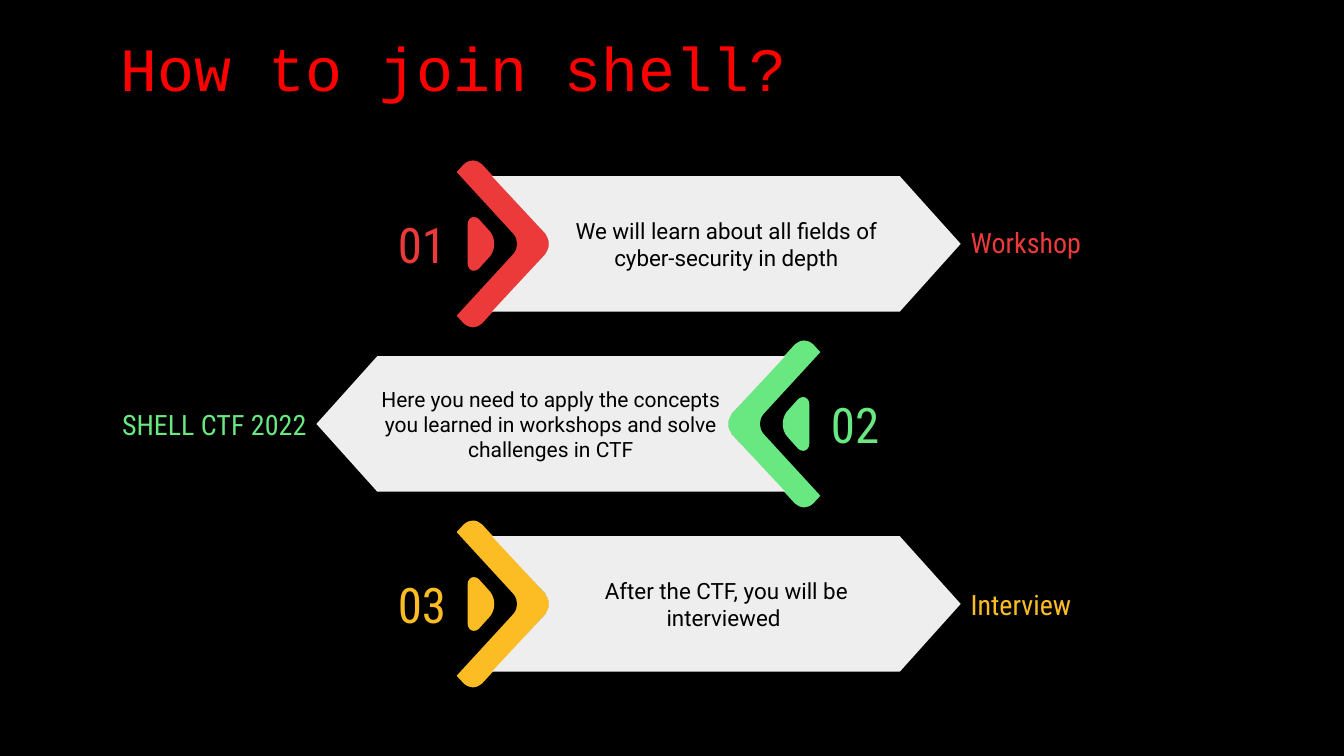
from dataclasses import dataclass
from typing import Any

import pptx
import pptx.dml.color
import pptx.enum.text
import pptx.oxml
import pptx.oxml.ns
import pptx.util

Pt = pptx.util.Pt
RGBColor = pptx.dml.color.RGBColor
Align = pptx.enum.text.PP_ALIGN
Anchor = pptx.enum.text.MSO_ANCHOR
qn = pptx.oxml.ns.qn

BLACK = RGBColor(0x00, 0x00, 0x00)
TITLE_RED = RGBColor(0xFF, 0x00, 0x00)
RED = RGBColor(0xEC, 0x3A, 0x3B)
GREEN = RGBColor(0x69, 0xE7, 0x81)
YELLOW = RGBColor(0xFC, 0xBD, 0x24)
PALE_GREY = RGBColor(0xEE, 0xEE, 0xEE)

Point = tuple[float, float]
# A segment of one point is a line; one of three points is a cubic curve.
Outline = list[tuple[Point, ...]]

FIRST_CENTRE = 174.2
STEP_PITCH = 128.6
MIRROR_WIDTH = 912.2  # a left-pointing step has x replaced by this less x
INSET = 7.2
BANNER_INSET = 43.2

# Outlines of a right-pointing step, with y measured from its centre line.
CHEVRON: Outline = [
    ((337.7, -59.6),),
    ((335.5, -59.6), (333.3, -58.6), (331.3, -56.8)),
    ((326.2, -51.3),),
    ((366.6, -7.3),),
    ((370.3, -3.1), (370.3, 3.1), (366.6, 7.3)),
    ((326.2, 51.3),),
    ((331.3, 56.8),),
    ((333.3, 58.6), (335.5, 59.6), (337.7, 59.6)),
    ((340, 59.6), (342.6, 58.6), (344.4, 56.8)),
    ((389.6, 7.3),),
    ((393.2, 3.1), (393.2, -3.1), (389.6, -7.3)),
    ((344.4, -56.8),),
    ((342.6, -58.6), (340, -59.6), (337.7, -59.6)),
]
POINTER: Outline = [
    ((338.3, -19.2),),
    ((336.2, -19.2), (334.1, -17), (334.1, -14.2)),
    ((334.1, 14.2),),
    ((334.1, 17), (336.2, 19.2), (338.3, 19.2)),
    ((339.8, 19.2), (340.9, 18.7), (342, 17.8)),
    ((350, 8.9),),
    ((354.1, 4), (354.1, -4), (350, -8.9)),
    ((342, -17.8),),
    ((340.9, -18.7), (339.8, -19.2), (338.3, -19.2)),
]
BANNER: Outline = [
    ((351.4, -48.4),),
    ((389.6, -7.3),),
    ((391.1, -5.3), (392, -2.7), (392, 0)),
    ((392, 2.7), (391.1, 5.3), (389.6, 7.3)),
    ((351.4, 48.4),),
    ((642.7, 48.4),),
    ((686.2, 0),),
    ((642.7, -48.4),),
]


@dataclass(frozen=True)
class Step:
    number: str
    name: str
    description: str
    color: RGBColor
    description_size: float = 16
    points_left: bool = False
    name_shift: float = 0


@dataclass(frozen=True)
class Caption:
    """Place of a text box beside a right-pointing step."""
    left: float
    width: float
    height: float
    size: float
    on_tail: bool


NUMBER = Caption(232.9, 92.9, 61.9, 35, True)
NAME = Caption(686.2, 159.1, 55.4, 20, False)

STEPS = [
    Step("01", "Workshop", "We will learn about all fields of cyber-security in depth", RED,
         name_shift=-1.2),
    Step("02", "SHELL CTF 2022",
         "Here you need to apply the concepts you learned in workshops and solve challenges in CTF",
         GREEN, 15, True),
    Step("03", "Interview", "After the CTF, you will be interviewed ", YELLOW),
]


def apply_format(target: Any, values: dict[str, Any]) -> None:
    for attribute, value in values.items():
        setattr(target, attribute, value)


def write(frame: Any, text: str, font: str, size: float, color: RGBColor,
          alignment: Any, anchor: Any = Anchor.MIDDLE, side_inset: float = INSET) -> None:
    frame.text = text
    apply_format(frame, {
        "word_wrap": True, "vertical_anchor": anchor,
        "margin_left": Pt(side_inset), "margin_right": Pt(side_inset),
        "margin_top": Pt(INSET), "margin_bottom": Pt(INSET),
    })
    paragraph = frame.paragraphs[0]
    paragraph.alignment = alignment
    run_font = paragraph.runs[0].font
    apply_format(run_font, {"name": font, "size": Pt(size)})
    run_font.color.rgb = color


def bend_curves(shape: Any, outline: Outline) -> None:
    """Join the three lines that stand for each curve into one cubic segment."""
    lines = iter(list(shape.element.iter(qn("a:lnTo"))))
    for segment in outline[1:]:
        parts = [next(lines) for _ in segment]
        if len(parts) == 1:
            continue
        curve = pptx.oxml.parse_xml(f'<a:cubicBezTo {pptx.oxml.ns.nsdecls("a")}/>')
        parts[0].addprevious(curve)
        for part in parts:
            curve.append(part[0])
            part.getparent().remove(part)


def draw_outline(slide: Any, outline: Outline, step: Step, centre: float, color: RGBColor) -> Any:
    points = [(Pt(MIRROR_WIDTH - x if step.points_left else x), Pt(centre + y))
              for segment in outline for x, y in segment]
    builder = slide.shapes.build_freeform(*points[0])
    builder.add_line_segments(points[1:], close=True)
    shape = builder.convert_to_shape()
    bend_curves(shape, outline)
    shape.shadow.inherit = False
    shape.fill.solid()
    shape.fill.fore_color.rgb = color
    shape.line.fill.background()
    return shape


def draw_caption(slide: Any, caption: Caption, text: str, step: Step, centre: float) -> None:
    left = caption.left
    if step.points_left:
        left = MIRROR_WIDTH - left - caption.width
    box = slide.shapes.add_textbox(Pt(left), Pt(centre - caption.height / 2),
                                   Pt(caption.width), Pt(caption.height))
    alignment = Align.RIGHT if caption.on_tail != step.points_left else Align.LEFT
    write(box.text_frame, text, "Roboto Condensed", caption.size, step.color, alignment)


def draw_step(slide: Any, step: Step, centre: float) -> None:
    draw_caption(slide, NUMBER, step.number, step, centre)
    for outline in (CHEVRON, POINTER):
        draw_outline(slide, outline, step, centre, step.color)
    banner = draw_outline(slide, BANNER, step, centre, PALE_GREY)
    write(banner.text_frame, step.description, "Roboto", step.description_size, BLACK,
          Align.CENTER, side_inset=BANNER_INSET)
    draw_caption(slide, NAME, step.name, step, centre + step.name_shift)


def main() -> None:
    presentation = pptx.Presentation()
    apply_format(presentation, {"slide_width": Pt(960), "slide_height": Pt(540)})
    slide = presentation.slides.add_slide(presentation.slide_layouts[5])
    slide.background.fill.solid()
    slide.background.fill.fore_color.rgb = BLACK

    title = slide.shapes.title
    apply_format(title, {"left": Pt(79.2), "top": Pt(20.2), "width": Pt(671), "height": Pt(62.6)})
    write(title.text_frame, "How to join shell?", "Courier New", 44, TITLE_RED,
          Align.LEFT, Anchor.TOP)
    title.text_frame.paragraphs[0].line_spacing = 0.9

    for index, step in enumerate(STEPS):
        draw_step(slide, step, FIRST_CENTRE + index * STEP_PITCH)

    presentation.save("out.pptx")


if __name__ == "__main__":
    main()
